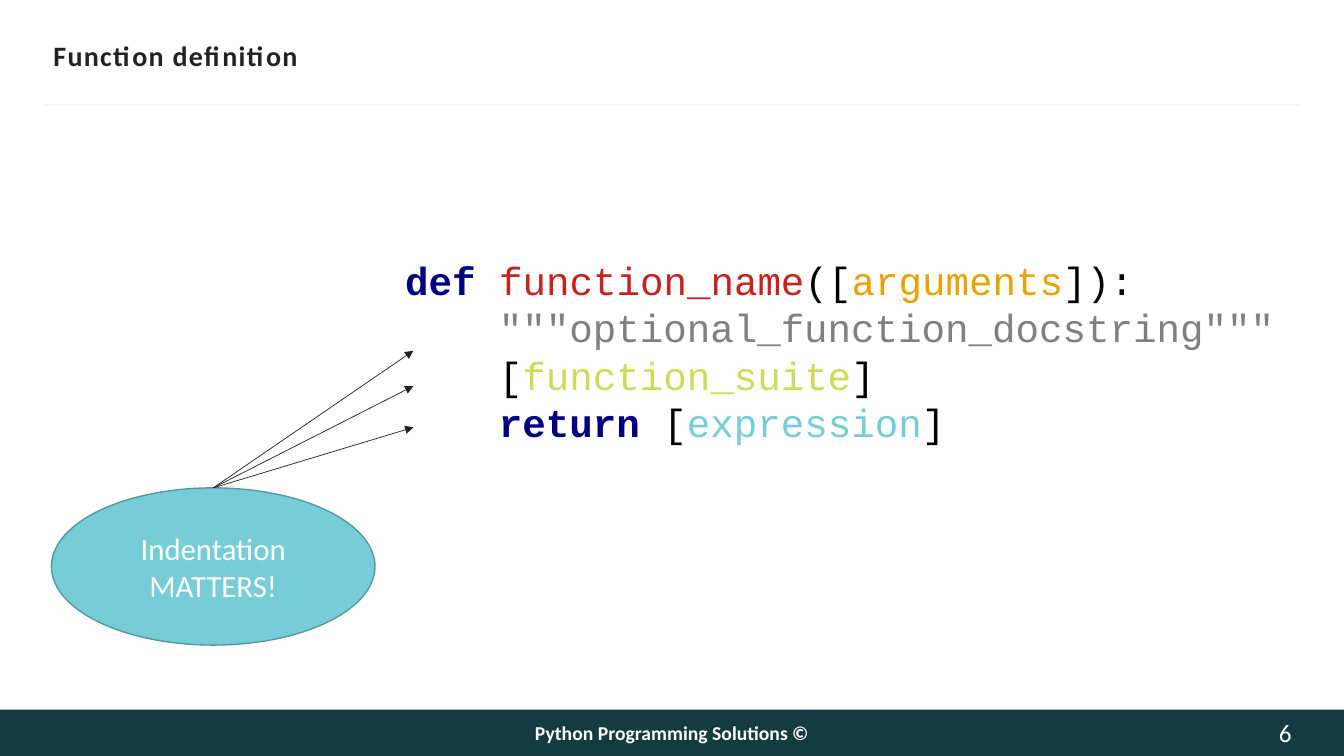
from lxml.etree import SubElement
from pptx import Presentation
from pptx.dml.color import RGBColor
from pptx.enum.shapes import MSO_CONNECTOR, MSO_SHAPE
from pptx.enum.text import MSO_ANCHOR, PP_ALIGN
from pptx.oxml.ns import qn
from pptx.util import Pt

PX = 9144
SLIDE_W, SLIDE_H = 1333, 750
INDENT = 93
COLORS = {
    "white": "FFFFFF",
    "ink": "222222",
    "footer": "133C41",
    "rule": "F5F5F5",
    "number": "FEFEFE",
    "callout": "76CDD8",
    "callout_edge": "5798A0",
    "keyword": "000080",
    "name": "C9211E",
    "plain": "000000",
    "arguments": "E8A202",
    "docstring": "808080",
    "suite": "CEDB56",
}
CODE = [
    (0, [("def ", "keyword"), ("function_name", "name"), ("([", "plain"),
         ("arguments", "arguments"), ("]):", "plain")]),
    (1, [('"""optional_function_docstring"""', "docstring")]),
    (1, [("[", "plain"), ("function_suite", "suite"), ("]", "plain")]),
    (1, [("return ", "keyword"), ("[", "plain"),
         ("expression", "callout"), ("]", "plain")]),
]


def color(key):
    return RGBColor.from_string(COLORS[key])


def emu(*lengths):
    return [length * PX for length in lengths]


def add_run(paragraph, text, size, key, bold=False, font="Calibri"):
    run = paragraph.add_run()
    run.text = text
    run.font.name = font
    run.font.size = Pt(size)
    run.font.bold = bold
    run.font.color.rgb = color(key)
    return run


def set_frame(shape, inset_x=10, inset_y=5):
    frame = shape.text_frame
    frame.word_wrap = True
    frame.vertical_anchor = MSO_ANCHOR.MIDDLE
    frame.margin_left = frame.margin_right = inset_x * PX
    frame.margin_top = frame.margin_bottom = inset_y * PX
    return frame


def add_label(slide, box, text, size, key, align, bold=False, inset_x=10, inset_y=5):
    label = slide.shapes.add_textbox(*emu(*box))
    paragraph = set_frame(label, inset_x, inset_y).paragraphs[0]
    paragraph.alignment = align
    return add_run(paragraph, text, size, key, bold)


def add_filled(slide, kind, box, fill, edge=None):
    shape = slide.shapes.add_shape(kind, *emu(*box))
    shape.shadow.inherit = False
    shape.fill.solid()
    shape.fill.fore_color.rgb = color(fill)
    if edge:
        shape.line.color.rgb = color(edge)
        shape.line.width = Pt(1)
    else:
        shape.line.fill.background()
    return shape


def add_line(slide, start, end, key, width):
    line = slide.shapes.add_connector(MSO_CONNECTOR.STRAIGHT, *emu(*start, *end))
    line.line.color.rgb = color(key)
    line.line.width = Pt(width)
    SubElement(line._element.spPr, qn("a:effectLst"))
    return line


def draw_header(slide, box):
    x, y, w, h = box
    add_line(slide, (x, y + h), (x + w, y + h), "rule", 1.5)
    title = add_label(slide, (x + 10, y + 33, w - 19, 43), "Function definition",
                      20, "ink", PP_ALIGN.LEFT, bold=True, inset_x=0)
    title._r.get_or_add_rPr().set("spc", "90")


def draw_footer(slide, box):
    x, y, w, h = box
    add_filled(slide, MSO_SHAPE.RECTANGLE, box, "footer")
    add_label(slide, (x + 350, y, w - 700, h - 1), "Python Programming Solutions ©",
              14, "white", PP_ALIGN.CENTER, bold=True)
    add_label(slide, (x + w - 118, y, 66, h), "6", 18, "number",
              PP_ALIGN.RIGHT, inset_x=0, inset_y=0)


def draw_code(slide, box):
    panel = add_filled(slide, MSO_SHAPE.RECTANGLE, box, "white")
    frame = set_frame(panel)
    for index, (level, pieces) in enumerate(CODE):
        paragraph = frame.paragraphs[0] if index == 0 else frame.add_paragraph()
        paragraph.alignment = PP_ALIGN.LEFT
        properties = paragraph._p.get_or_add_pPr()
        properties.set("marL", str(level * INDENT * PX))
        properties.set("indent", "0")
        for text, key in pieces:
            add_run(paragraph, text, 28, key, key == "keyword", "Courier New")


def draw_callout(slide, box, targets):
    x, y, w, h = box
    callout = add_filled(slide, MSO_SHAPE.OVAL, box, "callout", "callout_edge")
    paragraph = set_frame(callout).paragraphs[0]
    paragraph.alignment = PP_ALIGN.CENTER
    add_run(paragraph, "Indentation MATTERS!", 22, "white")
    for target in targets:
        arrow = add_line(slide, (x + w // 2, y), target, "ink", 0.5)
        arrow.begin_connect(callout, 0)
        SubElement(arrow.line._get_or_add_ln(), qn("a:tailEnd"), type="triangle")


def main():
    deck = Presentation()
    deck.slide_width, deck.slide_height = emu(SLIDE_W, SLIDE_H)
    slide = deck.slides.add_slide(deck.slide_layouts[6])
    draw_footer(slide, (0, 704, SLIDE_W, 46))
    draw_header(slide, (43, 0, 1247, 104))
    draw_code(slide, (392, 249, 889, 198))
    draw_callout(slide, (51, 484, 321, 156), [(410, y) for y in (348, 383, 424)])
    deck.save("out.pptx")


if __name__ == "__main__":
    main()
